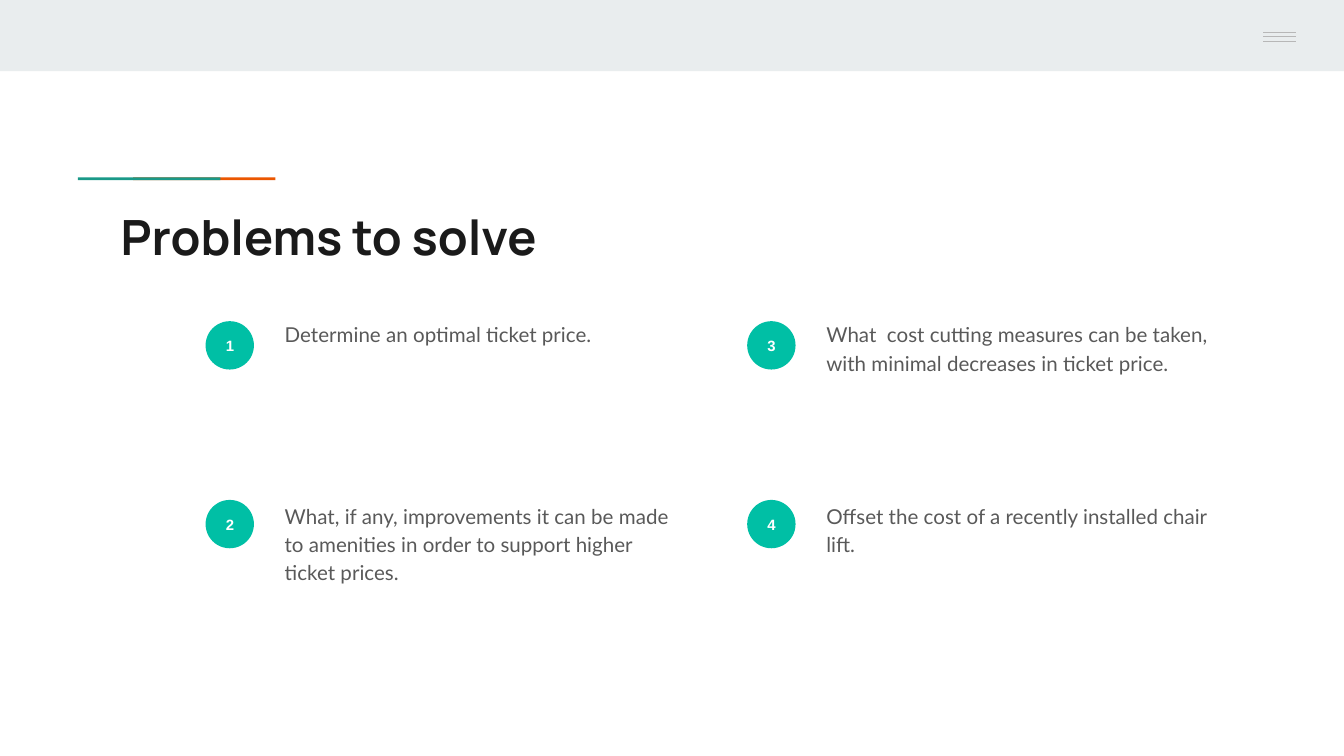
from lxml.etree import SubElement
from pptx import Presentation
from pptx.dml.color import RGBColor
from pptx.enum.shapes import MSO_CONNECTOR, MSO_SHAPE
from pptx.enum.text import MSO_ANCHOR, PP_ALIGN
from pptx.oxml.ns import qn
from pptx.util import Inches, Pt

WHITE = RGBColor(0xFF, 0xFF, 0xFF)
BAND = RGBColor(0xE9, 0xED, 0xEE)
ORANGE = RGBColor(0xEB, 0x56, 0x00)
GREEN = RGBColor(0x1A, 0x99, 0x88)
TEAL = RGBColor(0x00, 0xBF, 0xA5)
MENU_GRAY = RGBColor(0xB7, 0xB7, 0xB7)
TITLE_INK = RGBColor(0x1A, 0x1A, 0x1A)
BODY_INK = RGBColor(0x59, 0x59, 0x59)

TITLE = "Problems to solve"
PROBLEMS = [
    "Determine an optimal ticket price.",
    "What, if any, improvements it can be made to amenities in order to support higher ticket prices.",
    "What  cost cutting measures can be taken, with minimal decreases in ticket price.",
    "Offset the cost of a recently installed chair lift.",
]

# Left, top, width, height, colour; from back to front
BARS = [
    (0, 0, 10, 0.53, BAND),
    (0.99, 1.32, 1.06, 0.02, ORANGE),
    (0.58, 1.32, 1.06, 0.02, GREEN),
    (9.06, 0, 0.94, 0.5, BAND),
]
MENU_LEFT, MENU_RIGHT = 9.4, 9.64
MENU_TOPS = [0.24, 0.27, 0.31]

ROWS = 2
COLUMN_LEFT, COLUMN_STEP = 1.53, 4.03
BADGE_TOPS = [2.39, 3.72]
BADGE_SIZE = 0.36
BODY_TOPS = [2.27, 3.62]
BODY_OFFSET, BODY_WIDTH, BODY_HEIGHT = 0.49, 3.1, 1.15


def write(shape, text, *, font, size, color, bold=False, align=PP_ALIGN.LEFT,
          anchor=MSO_ANCHOR.TOP, line_spacing=1.0):
    frame = shape.text_frame
    frame.word_wrap = True
    frame.vertical_anchor = anchor
    frame.margin_left = frame.margin_right = Inches(0.1)
    frame.margin_top = frame.margin_bottom = Inches(0.1)
    paragraph = frame.paragraphs[0]
    paragraph.alignment = align
    paragraph.line_spacing = line_spacing
    run = paragraph.add_run()
    run.text = text
    run.font.name = font
    run.font.size = Pt(size)
    run.font.bold = bold
    run.font.color.rgb = color


def add_filled(slide, preset, left, top, width, height, color):
    shape = slide.shapes.add_shape(
        preset, Inches(left), Inches(top), Inches(width), Inches(height))
    shape.shadow.inherit = False
    shape.fill.solid()
    shape.fill.fore_color.rgb = color
    shape.line.fill.background()
    return shape


def add_text_box(slide, left, top, width, height):
    return slide.shapes.add_textbox(
        Inches(left), Inches(top), Inches(width), Inches(height))


def add_menu_line(slide, top):
    line = slide.shapes.add_connector(
        MSO_CONNECTOR.STRAIGHT, Inches(MENU_LEFT), Inches(top),
        Inches(MENU_RIGHT), Inches(top))
    line.line.color.rgb = MENU_GRAY
    line.line.width = Pt(0.75)
    SubElement(line.element.spPr, qn("a:effectLst"))


def add_problem(slide, index, problem):
    """Place a numbered badge and its text, filling the grid column by column."""
    column, row = divmod(index, ROWS)
    left = COLUMN_LEFT + column * COLUMN_STEP
    badge = add_filled(slide, MSO_SHAPE.OVAL, left, BADGE_TOPS[row],
                       BADGE_SIZE, BADGE_SIZE, TEAL)
    write(badge, str(index + 1), font="Arial", size=8, color=WHITE, bold=True,
          align=PP_ALIGN.CENTER, anchor=MSO_ANCHOR.MIDDLE)
    body = add_text_box(slide, left + BODY_OFFSET, BODY_TOPS[row],
                        BODY_WIDTH, BODY_HEIGHT)
    write(body, problem, font="Lato", size=11, color=BODY_INK, line_spacing=1.15)


def main():
    deck = Presentation()
    deck.slide_width = Inches(10)
    deck.slide_height = Inches(10) * 9 // 16
    slide = deck.slides.add_slide(deck.slide_layouts[6])
    slide.background.fill.solid()
    slide.background.fill.fore_color.rgb = WHITE

    for bar in BARS:
        add_filled(slide, MSO_SHAPE.RECTANGLE, *bar)
    for top in MENU_TOPS:
        add_menu_line(slide, top)
    write(add_text_box(slide, 0.8, 1.44, 8.41, 0.59), TITLE,
          font="Manrope", size=26, color=TITLE_INK, bold=True)
    for index, problem in enumerate(PROBLEMS):
        add_problem(slide, index, problem)

    deck.save("out.pptx")


if __name__ == "__main__":
    main()
